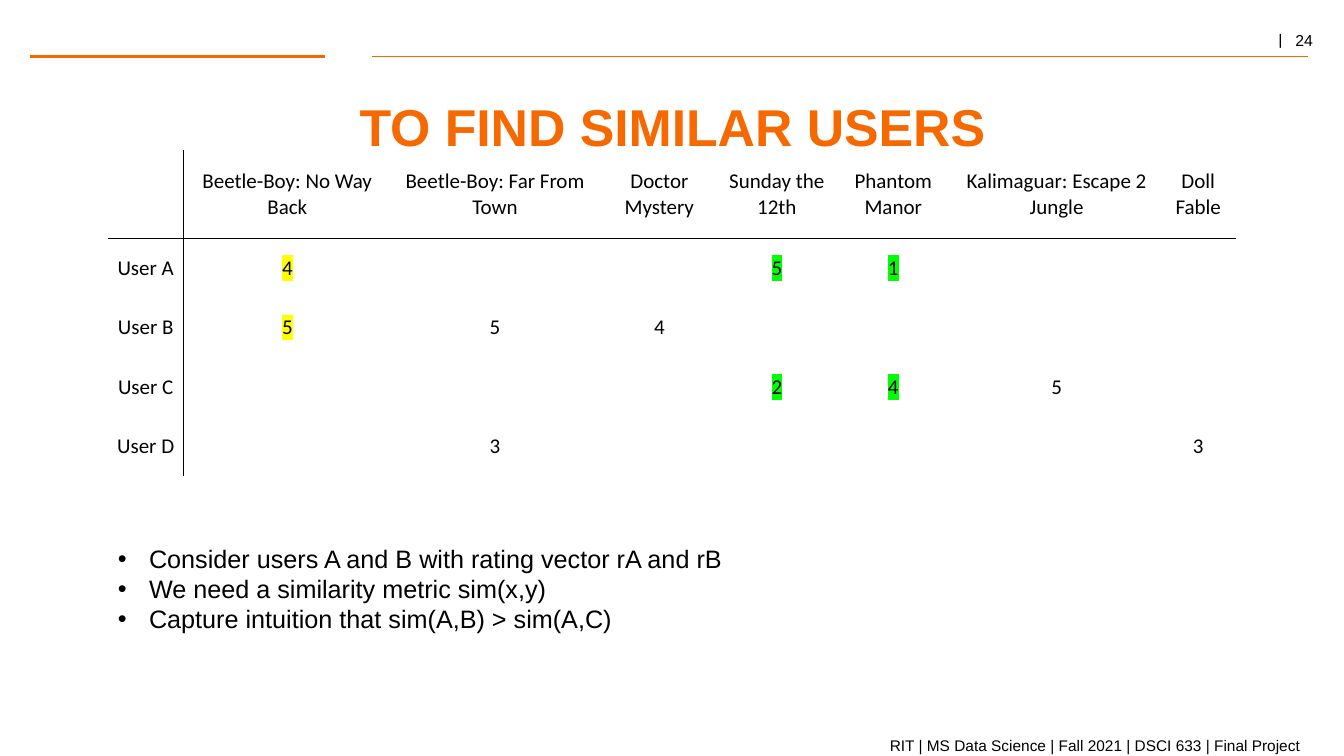
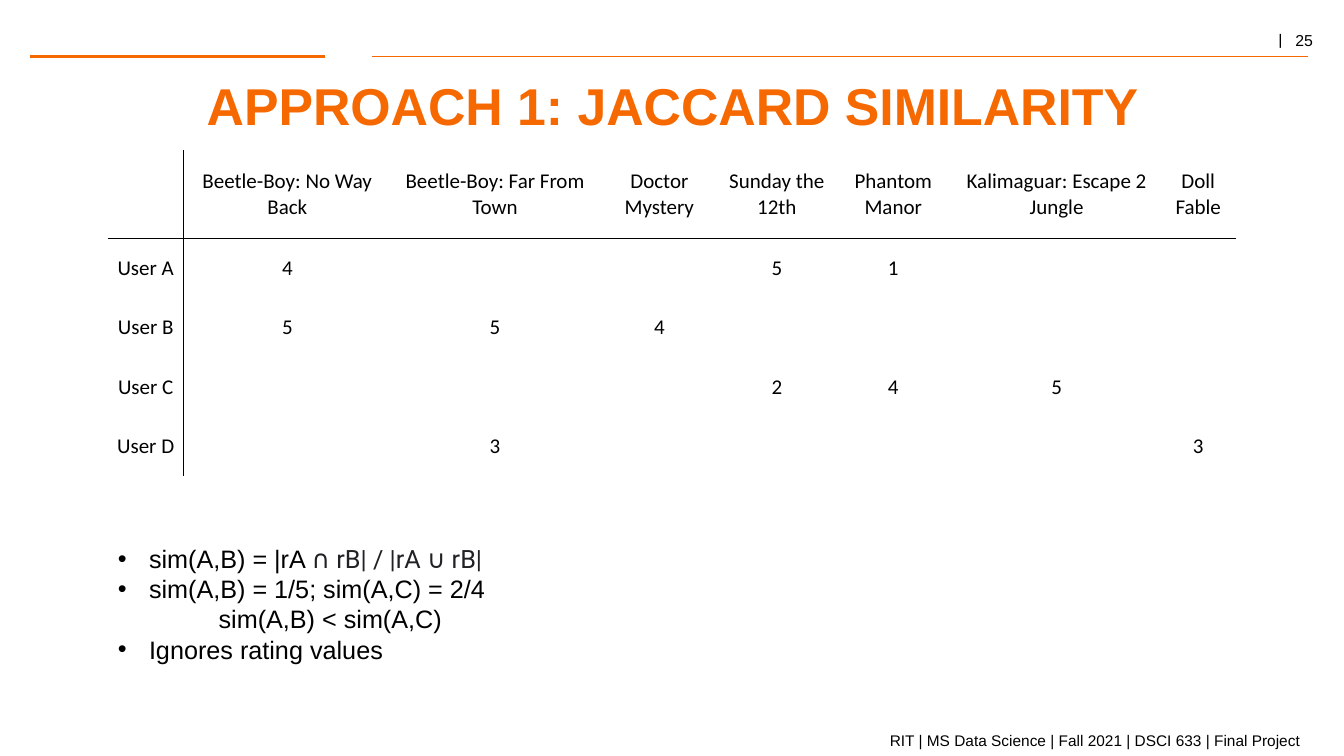
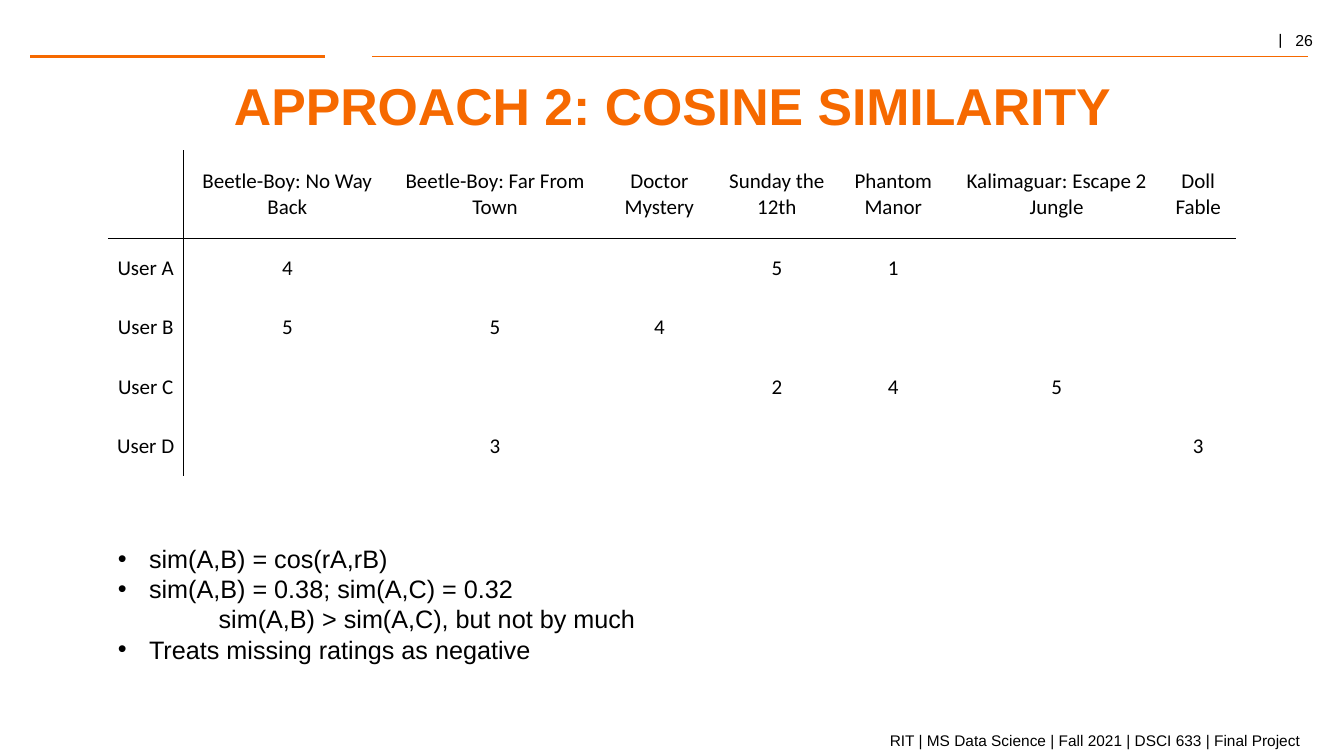
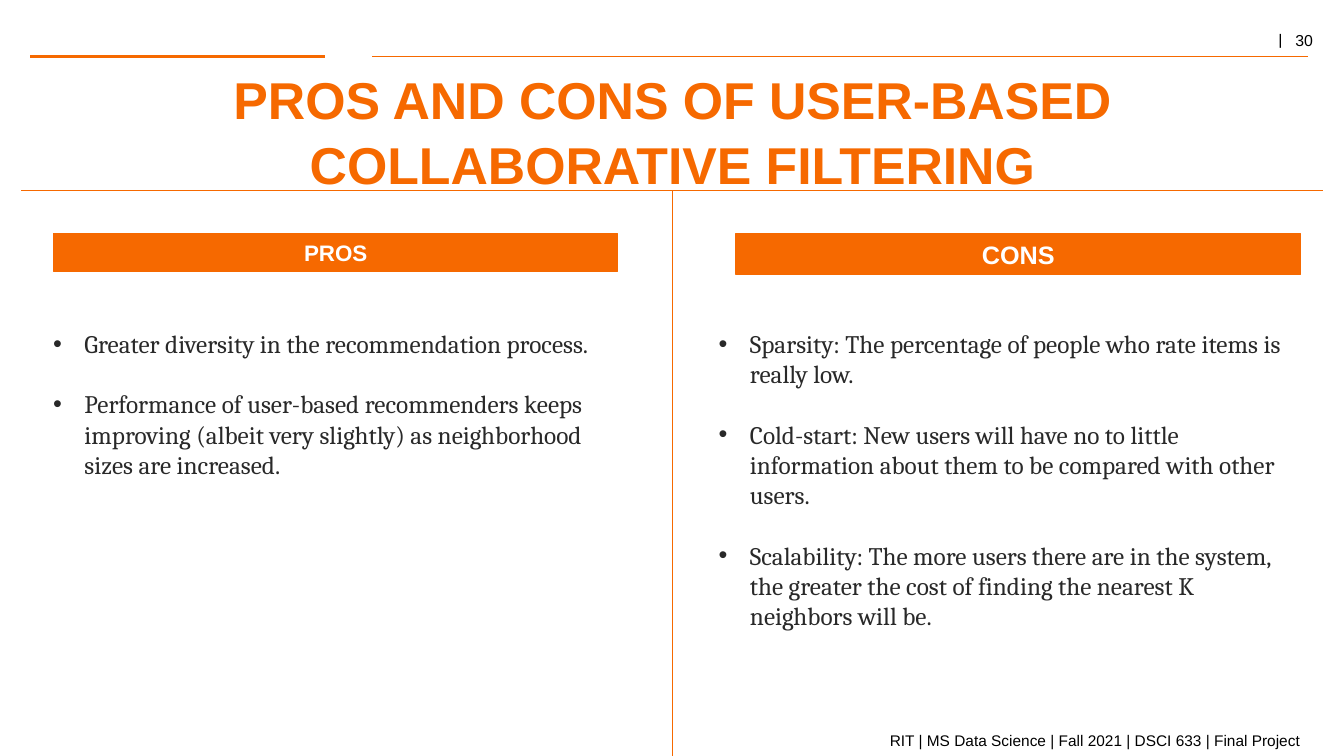
from lxml import etree
from pptx import Presentation
from pptx.dml.color import RGBColor
from pptx.enum.shapes import MSO_CONNECTOR, MSO_SHAPE
from pptx.enum.text import MSO_ANCHOR, MSO_AUTO_SIZE, PP_ALIGN
from pptx.oxml.ns import qn
from pptx.util import Pt

# Shared style: 100 px to the inch
PX = 9144
ORANGE, BLACK, WHITE = "F66900", "000000", "FFFFFF"
INK, CHARCOAL = "202124", "292929"
YELLOW, GREEN = "FFFF00", "00FF00"
SANS, SERIF, TABLE_FONT = "Arial", "Cambria", "Calibri"
FOOTER = "RIT | MS Data Science | Fall 2021 | DSCI 633 | Final Project"
HEADER_RULES = [(30, 56, 322, 56, 2), (369, 56, 1297, 56, 1)]
BULLET_INDENT = 31

# Ratings by user and film
FILMS = ["Beetle-Boy: No Way Back", "Beetle-Boy: Far From Town",
         "Doctor Mystery", "Sunday the 12th", "Phantom Manor",
         "Kalimaguar: Escape 2 Jungle", "Doll Fable"]
RATINGS = [
    ["", *FILMS],
    ["User A", "4", "", "", "5", "1", "", ""],
    ["User B", "5", "5", "4", "", "", "", ""],
    ["User C", "", "", "", "2", "4", "5", ""],
    ["User D", "", "3", "", "", "", "", "3"],
]
COLUMN_WIDTHS = [75, 206, 206, 120, 113, 118, 206, 75]
ROW_HEIGHTS = [87, 59, 59, 59, 59]
SHARED_RATINGS = {(1, 1): YELLOW, (2, 1): YELLOW, (1, 4): GREEN,
                  (1, 5): GREEN, (3, 4): GREEN, (3, 5): GREEN}

# Rating slides: number, title, title top, footer top, highlights,
# then list paragraphs as (bulleted, runs of text, font, colour)
RATING_SLIDES = [
    (24, "TO FIND SIMILAR USERS", 94, 725, SHARED_RATINGS, [
        (True, [("Consider users A and B with rating vector rA and rB", SANS, BLACK)]),
        (True, [("We need a similarity metric sim(x,y)", SANS, BLACK)]),
        (True, [("Capture intuition that sim(A,B) > sim(A,C)", SANS, BLACK)]),
    ]),
    (25, "APPROACH 1: JACCARD SIMILARITY", 73, 720, {}, [
        (True, [("sim(A,B) = |rA ", SANS, BLACK), ("∩ rB| / |rA ∪ rB|", "Roboto", INK)]),
        (True, [("sim(A,B) = 1/5; sim(A,C) = 2/4", SANS, BLACK)]),
        (False, [("sim(A,B) < sim(A,C)", SANS, BLACK)]),
        (True, [("Ignores rating values", SANS, BLACK)]),
    ]),
    (26, "APPROACH 2: COSINE SIMILARITY", 73, 720, {}, [
        (True, [("sim(A,B) = cos(rA,rB)", SANS, BLACK)]),
        (True, [("sim(A,B) = 0.38; sim(A,C) = 0.32", SANS, BLACK)]),
        (False, [("sim(A,B) > sim(A,C), but not by much", SANS, BLACK)]),
        (True, [("Treats missing ratings as negative", SANS, BLACK)]),
    ]),
]

# Pros and cons: heading, heading left, height and size, list left and width, points
SIDES = [
    ("PROS", 53, 37, 16, 43, 580, [
        "Greater diversity in the recommendation process.",
        "Performance of user-based recommenders keeps improving (albeit very "
        "slightly) as neighborhood sizes are increased.",
    ]),
    ("CONS", 730, 40, 18, 703, 588, [
        "Sparsity: The percentage of people who rate items is really low.",
        "Cold-start: New users will have no to little information about them "
        "to be compared with other users.",
        "Scalability: The more users there are in the system, the greater the "
        "cost of finding the nearest K neighbors will be.",
    ]),
]


def hex_color(value):
    return RGBColor.from_string(value)


def add_run(paragraph, text, size, font=SANS, color=BLACK, bold=False):
    run = paragraph.add_run()
    run.text = text
    run.font.size = Pt(size)
    run.font.name = font
    run.font.bold = bold
    run.font.color.rgb = hex_color(color)
    return run


prs = Presentation()
prs.slide_width, prs.slide_height = 1333 * PX, 750 * PX

# Plan of every slide: number, title, title box, line spacing, footer top,
# rules, highlights (None means no table), list boxes
plans = [
    (number, title, (107, top, 1120, 55), 1, footer_top, HEADER_RULES, highlights,
     [(107, 534, 1120, 101 if len(points) == 3 else 131, 0, points)])
    for number, title, top, footer_top, highlights, points in RATING_SLIDES
]
plans.append((
    30, "PROS AND CONS OF USER-BASED COLLABORATIVE FILTERING",
    (27, 64, 1280, 122), 1.05, 720,
    HEADER_RULES + [(21, 189, 1312, 189, 0.25), (667, 189, 667, 750, 0.25)], None,
    [(left, 321, width, 313, 21.5, [(True, [(point, SERIF, CHARCOAL)]) for point in points])
     for *_, left, width, points in SIDES],
))

for (number, title, title_box, title_spacing, footer_top,
     rules, highlights, lists) in plans:
    slide = prs.slides.add_slide(prs.slide_layouts[5])

    # Title
    heading = slide.shapes.title
    heading.left, heading.top, heading.width, heading.height = [n * PX for n in title_box]
    frame = heading.text_frame
    frame.margin_left = frame.margin_right = frame.margin_top = frame.margin_bottom = 0
    frame.word_wrap = True
    frame.auto_size = MSO_AUTO_SIZE.NONE
    frame.vertical_anchor = MSO_ANCHOR.TOP
    paragraph = frame.paragraphs[0]
    paragraph.alignment = PP_ALIGN.CENTER
    paragraph.line_spacing = title_spacing
    add_run(paragraph, title, 37, color=ORANGE, bold=True)

    # Rules
    for x1, y1, x2, y2, weight in rules:
        rule = slide.shapes.add_connector(
            MSO_CONNECTOR.STRAIGHT, x1 * PX, y1 * PX, x2 * PX, y2 * PX)
        rule.line.color.rgb = hex_color(ORANGE)
        rule.line.width = Pt(weight)
        etree.SubElement(rule._element.spPr, qn("a:effectLst"))

    # Page number
    page = slide.shapes.add_textbox(1255 * PX, 28 * PX, 78 * PX, 26 * PX)
    paragraph = page.text_frame.paragraphs[0]
    tabs = etree.SubElement(paragraph._p.get_or_add_pPr(), qn("a:tabLst"))
    etree.SubElement(tabs, qn("a:tab"), pos=str(20 * PX), algn="l")
    paragraph.line_spacing = 0.8
    add_run(paragraph, "|\t", 12, "TeX Gyre Schola")
    add_run(paragraph, str(number), 11.3)

    # Footer
    footer = slide.shapes.add_textbox(0, footer_top * PX, 1300 * PX, 22 * PX)
    footer.text_frame.word_wrap = True
    paragraph = footer.text_frame.paragraphs[0]
    paragraph.alignment = PP_ALIGN.RIGHT
    add_run(paragraph, FOOTER, 11)

    # Ratings table
    if highlights is not None:
        ratings = slide.shapes.add_table(
            len(RATINGS), len(COLUMN_WIDTHS), 107 * PX, 149 * PX,
            sum(COLUMN_WIDTHS) * PX, sum(ROW_HEIGHTS) * PX).table
        ratings.first_row = ratings.horz_banding = False
        for column, width in zip(ratings.columns, COLUMN_WIDTHS):
            column.width = width * PX
        for row, height in zip(ratings.rows, ROW_HEIGHTS):
            row.height = height * PX
        for r, values in enumerate(RATINGS):
            for c, value in enumerate(values):
                cell = ratings.cell(r, c)
                cell.margin_left = cell.margin_right = cell.margin_top = PX
                cell.margin_bottom = 0
                cell.vertical_anchor = MSO_ANCHOR.MIDDLE
                # One line right of the users, one below the films
                sides = [("a:lnL", c == 1), ("a:lnR", c == 0),
                         ("a:lnT", r == 1), ("a:lnB", r == 0)]
                for tag, drawn in sides:
                    border = etree.SubElement(
                        cell._tc.get_or_add_tcPr(), qn(tag), w=str(Pt(0.5)))
                    if drawn:
                        fill = etree.SubElement(border, qn("a:solidFill"))
                        etree.SubElement(fill, qn("a:srgbClr"), val=BLACK)
                    else:
                        etree.SubElement(border, qn("a:noFill"))
                cell.fill.background()
                if value:
                    paragraph = cell.text_frame.paragraphs[0]
                    paragraph.alignment = PP_ALIGN.CENTER
                    run = add_run(paragraph, value, 15, TABLE_FONT)
                    if (r, c) in highlights:
                        mark = etree.Element(qn("a:highlight"))
                        etree.SubElement(mark, qn("a:srgbClr"), val=highlights[r, c])
                        run._r.rPr.find(qn("a:latin")).addprevious(mark)

    # Lists
    for left, top, width, height, gap, points in lists:
        box = slide.shapes.add_textbox(left * PX, top * PX, width * PX, height * PX)
        box.text_frame.word_wrap = True
        for i, (bulleted, runs) in enumerate(points):
            paragraph = box.text_frame.add_paragraph() if i else box.text_frame.paragraphs[0]
            properties = paragraph._p.get_or_add_pPr()
            if bulleted:
                properties.set("marL", str(BULLET_INDENT * PX))
                properties.set("indent", str(-BULLET_INDENT * PX))
                etree.SubElement(properties, qn("a:buFont"), typeface=SANS)
                etree.SubElement(properties, qn("a:buChar"), char="•")
            else:
                properties.set("marL", str(100 * PX))
            if i and gap:
                paragraph.space_before = Pt(gap)
            for text, font, color in runs:
                add_run(paragraph, text, 18, font, color)

# Pros and cons headings, on the last slide
for label, left, height, size, *_ in SIDES:
    bar = slide.shapes.add_shape(
        MSO_SHAPE.RECTANGLE, left * PX, 232 * PX, 560 * PX, height * PX)
    bar.shadow.inherit = False
    bar.fill.solid()
    bar.fill.fore_color.rgb = hex_color(ORANGE)
    bar.line.color.rgb = hex_color(ORANGE)
    bar.line.width = Pt(0.75)
    bar.text_frame.vertical_anchor = MSO_ANCHOR.MIDDLE
    paragraph = bar.text_frame.paragraphs[0]
    paragraph.alignment = PP_ALIGN.CENTER
    add_run(paragraph, label, size, color=WHITE, bold=True)

prs.save("out.pptx")
